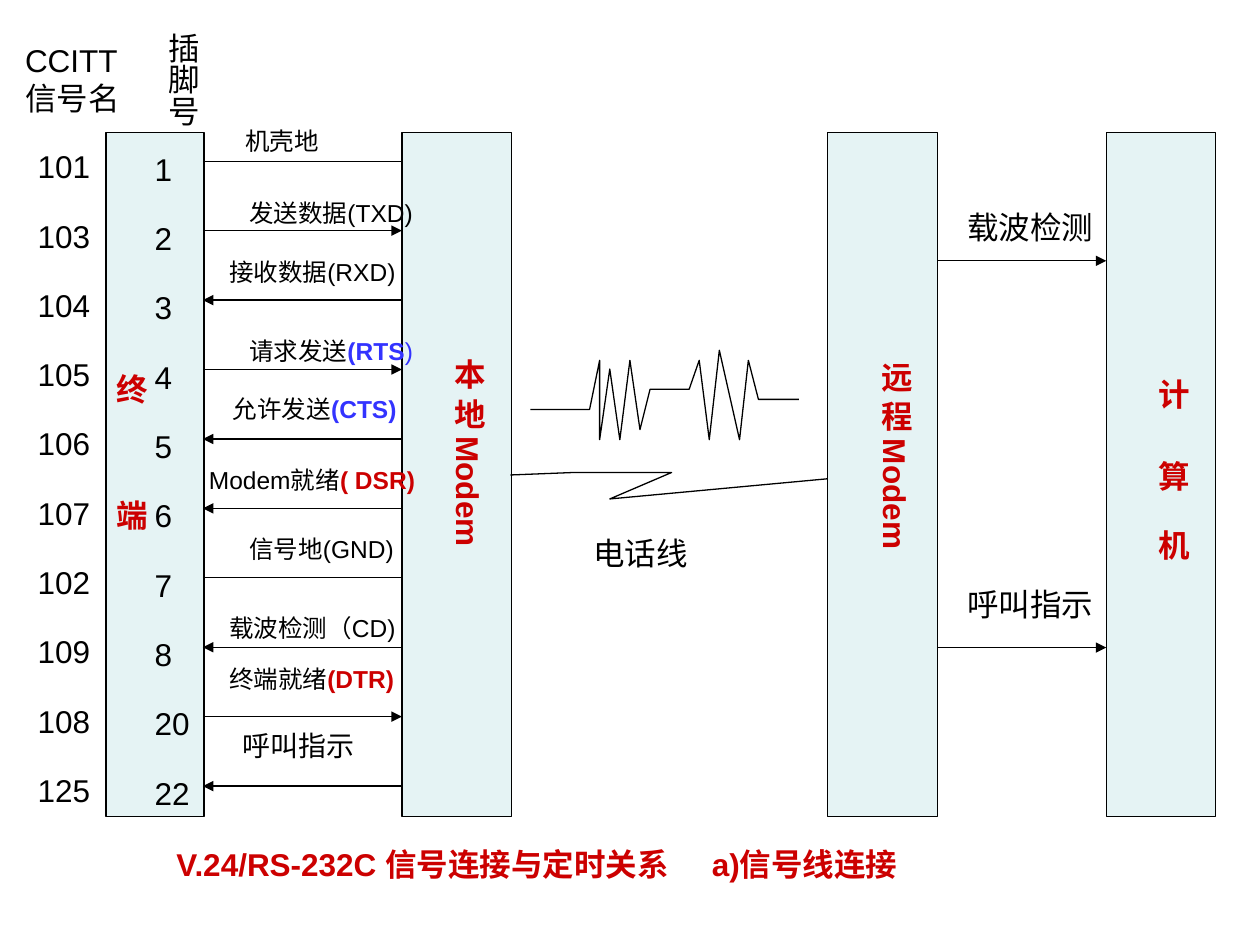
from dataclasses import dataclass

from lxml.etree import SubElement
from pptx import Presentation
from pptx.dml.color import RGBColor
from pptx.enum.shapes import MSO_CONNECTOR as Connector
from pptx.enum.shapes import MSO_SHAPE as Shape
from pptx.enum.text import MSO_ANCHOR as Anchor
from pptx.enum.text import MSO_AUTO_SIZE as AutoSize
from pptx.enum.text import PP_ALIGN as Align
from pptx.oxml.ns import qn
from pptx.util import Inches, Pt


@dataclass(frozen=True)
class Theme:
    font: str = "Arial"
    black: str = "000000"
    red: str = "CC0000"
    blue: str = "3333FF"
    block: str = "BBE0E3"
    block_alpha: int = 37000
    large: int = 18
    medium: int = 16
    small: int = 14
    line: float = 0.75


THEME = Theme()


class Diagram:
    """Draws the parts of the wiring diagram on one slide."""

    def __init__(self, slide, theme):
        self.slide = slide
        self.theme = theme

    def style_run(self, run, size, color, bold=False):
        run.font.name = self.theme.font
        run.font.size = Pt(size)
        run.font.bold = bold
        run.font.color.rgb = RGBColor.from_string(color)

    def style_line(self, line):
        line.color.rgb = RGBColor.from_string(self.theme.black)
        line.width = Pt(self.theme.line)

    def title(self, text, left, top, width, height, tab):
        shape = self.slide.shapes.title
        shape.left, shape.top = Inches(left), Inches(top)
        shape.width, shape.height = Inches(width), Inches(height)
        frame = shape.text_frame
        frame.text = text
        frame.auto_size = AutoSize.NONE
        frame.vertical_anchor = Anchor.MIDDLE
        paragraph = frame.paragraphs[0]
        stops = SubElement(paragraph._p.get_or_add_pPr(), qn("a:tabLst"))
        SubElement(stops, qn("a:tab"), pos=str(Inches(tab)), algn="l")
        paragraph.alignment = Align.LEFT
        for run in paragraph.runs:
            self.style_run(run, self.theme.large, self.theme.red, True)

    def block(self, left, width):
        shape = self.slide.shapes.add_shape(
            Shape.RECTANGLE, Inches(left), Inches(BLOCK_TOP), Inches(width), Inches(BLOCK_HEIGHT))
        shape.shadow.inherit = False
        shape.fill.solid()
        shape.fill.fore_color.rgb = RGBColor.from_string(self.theme.block)
        color = shape._element.spPr.find(".//" + qn("a:srgbClr"))
        SubElement(color, qn("a:alpha"), val=str(self.theme.block_alpha))
        self.style_line(shape.line)

    def text(self, lines, left, top, width, height, size=THEME.large,
             color=THEME.black, bold=False, gaps=(), vertical=False):
        """Each line is a paragraph; gaps are the points before the later ones."""
        box = self.slide.shapes.add_textbox(
            Inches(left), Inches(top), Inches(width), Inches(height))
        frame = box.text_frame
        frame.word_wrap = True
        frame.auto_size = AutoSize.NONE
        if vertical:
            frame._txBody.bodyPr.set("vert", "eaVert")
            frame.margin_left = frame.margin_right = Inches(0.05)
            frame.margin_top = frame.margin_bottom = Inches(0.1)
        frame.text = "\n".join(lines)
        for paragraph in frame.paragraphs:
            for run in paragraph.runs:
                self.style_run(run, size, color, bold)
        for paragraph, gap in zip(frame.paragraphs[1:], gaps):
            paragraph.space_before = Pt(gap)
        return frame

    def add_run(self, frame, text, size, color, bold):
        run = frame.paragraphs[0].add_run()
        run.text = text
        self.style_run(run, size, color, bold)

    def wire(self, start, end, y, arrow=True):
        connector = self.slide.shapes.add_connector(
            Connector.STRAIGHT, Inches(start), Inches(y), Inches(end), Inches(y))
        self.style_line(connector.line)
        if arrow:
            SubElement(connector.line._get_or_add_ln(), qn("a:tailEnd"), type="triangle")
        SubElement(connector._element.spPr, qn("a:effectLst"))

    def polyline(self, points):
        start, *others = [(Inches(x), Inches(y)) for x, y in points]
        builder = self.slide.shapes.build_freeform(*start)
        builder.add_line_segments(others, close=False)
        shape = builder.convert_to_shape()
        shape.shadow.inherit = False
        shape.fill.background()
        self.style_line(shape.line)


# Geometry in inches
BLOCK_TOP, BLOCK_HEIGHT = 1.05, 5.43
BLOCKS = [(0.84, 0.78), (3.19, 0.87), (6.57, 0.87), (8.78, 0.87)]
TERMINAL_RIGHT, LOCAL_LEFT = 1.61, 3.19
REMOTE_RIGHT, COMPUTER_LEFT = 7.44, 8.78
WIRE_TOP, WIRE_PITCH = 1.28, 0.551
LABEL_WIDTH, LABEL_HEIGHT = 2, 0.34
ROW_GAP = 18

# Circuit, pin, direction, label position, label, coloured code
SIGNALS = [
    ("101", "1", None, (1.85, 0.95), "机壳地", None),
    ("103", "2", "out", (1.88, 1.52), "发送数据(TXD)", None),
    ("104", "3", "in", (1.72, 1.99), "接收数据(RXD)", None),
    ("105", "4", "out", (1.88, 2.62), "请求发送", ("(RTS", THEME.blue)),
    ("106", "5", "in", (1.75, 3.08), "允许发送", ("(CTS)", THEME.blue)),
    ("107", "6", "in", (1.56, 3.64), "Modem就绪", ("( DSR)", THEME.red)),
    ("102", "7", None, (1.88, 4.19), "信号地(GND)", None),
    ("109", "8", "in", (1.72, 4.82), "载波检测（CD)", None),
    ("108", "20", "out", (1.72, 5.22), "终端就绪", ("(DTR)", THEME.red)),
    ("125", "22", "in", (1.83, 5.73), "呼叫指示", None),
]
PULSES = [
    (4.21, 3.25), (4.68, 3.25), (4.76, 2.86), (4.76, 3.49), (4.84, 2.93), (4.92, 3.49),
    (5, 2.86), (5.08, 3.41), (5.16, 3.09), (5.47, 3.09), (5.55, 2.86), (5.63, 3.49),
    (5.71, 2.78), (5.87, 3.49), (5.94, 2.86), (6.02, 3.17), (6.34, 3.17),
]
PHONE_LINE = [(4.05, 3.77), (4.55, 3.75), (5.33, 3.75), (4.84, 3.96), (6.57, 3.8)]


def main():
    presentation = Presentation()
    presentation.slide_width, presentation.slide_height = Inches(10), Inches(7.5)
    slide = presentation.slides.add_slide(presentation.slide_layouts[5])
    diagram = Diagram(slide, THEME)

    # Caption
    diagram.title("V.24/RS-232C 信号连接与定时关系\ta)信号线连接", 1.3, 6.66, 6.2, 0.4, tab=4.25)

    # Devices and their names
    for left, width in BLOCKS:
        diagram.block(left, width)
    red_bold = {"color": THEME.red, "bold": True}
    diagram.text(["终", "端"], 0.83, 2.89, 0.5, 1.39, gaps=[50], **red_bold)
    diagram.text(["本 地 Modem"], 3.42, 2.75, 0.5, 1.95, vertical=True, **red_bold)
    diagram.text(["远 程 Modem"], 6.81, 2.77, 0.5, 1.95, vertical=True, **red_bold)
    diagram.text(["计", "算", "机"], 9.1, 2.93, 0.5, 1.6, gaps=[25, 18], **red_bold)

    # Circuit and pin columns with headings
    gaps = [ROW_GAP] * (len(SIGNALS) - 1)
    diagram.text(["CCITT", "信号名"], 0.1, 0.28, 1.05, 0.7)
    diagram.text(["插脚号"], 1.15, 0.16, 0.5, 1, vertical=True)
    diagram.text([signal[0] for signal in SIGNALS], 0.2, 1.12, 0.75, 5.5, gaps=gaps)
    diagram.text([signal[1] for signal in SIGNALS], 1.13, 1.14, 0.56, 5.5, gaps=gaps)

    # Signal wires between terminal and local modem
    for row, (_, _, direction, (left, top), label, code) in enumerate(SIGNALS):
        ends = (TERMINAL_RIGHT, LOCAL_LEFT)
        start, end = ends[::-1] if direction == "in" else ends
        diagram.wire(start, end, WIRE_TOP + row * WIRE_PITCH, arrow=direction is not None)
        size = THEME.medium if row == len(SIGNALS) - 1 else THEME.small
        frame = diagram.text([label], left, top, LABEL_WIDTH, LABEL_HEIGHT, size=size)
        if code:
            diagram.add_run(frame, code[0], size, code[1], True)
            if not code[0].endswith(")"):
                diagram.add_run(frame, ")", size, code[1], False)

    # Wires between remote modem and computer
    for label, top, y in [("载波检测", 1.6, 2.07), ("呼叫指示", 4.59, 5.14)]:
        diagram.wire(REMOTE_RIGHT, COMPUTER_LEFT, y)
        diagram.text([label], 7.58, top, 1.3, 0.4)

    # Telephone line with its signal
    diagram.polyline(PHONE_LINE)
    diagram.polyline(PULSES)
    diagram.text(["电话线"], 4.61, 4.19, 1.1, 0.4)

    presentation.save("out.pptx")


if __name__ == "__main__":
    main()
